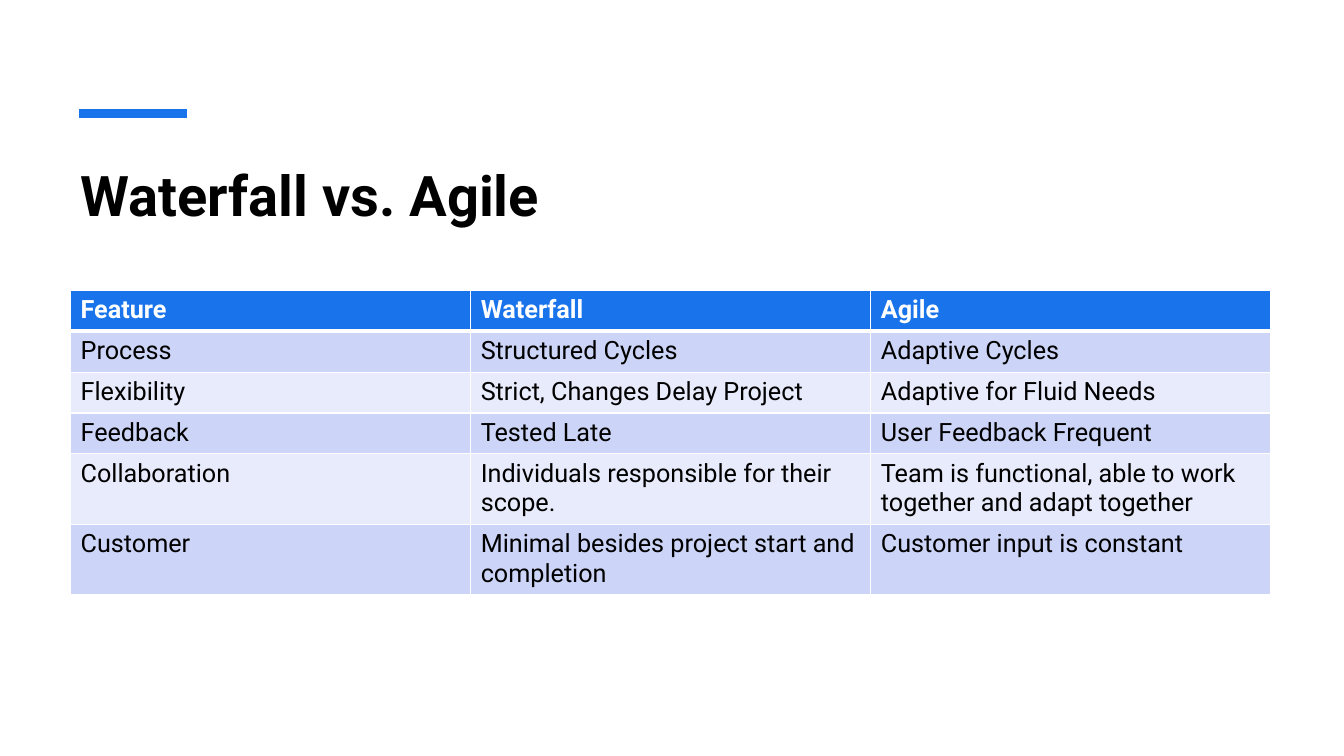
"""Build the Waterfall vs. Agile comparison slide."""
from typing import NamedTuple

from lxml import etree
from pptx import Presentation
from pptx.dml.color import RGBColor
from pptx.enum.shapes import MSO_CONNECTOR
from pptx.enum.text import MSO_ANCHOR
from pptx.oxml.ns import qn
from pptx.util import Pt

STRAIGHT = MSO_CONNECTOR.STRAIGHT
TOP = MSO_ANCHOR.TOP
FONT = "Roboto"
BLUE, WHITE, BLACK = "1973EB", "FFFFFF", "000000"
BANDS = ("CCD5F7", "E8EBFB")
LEFT, WIDTH = 50.4, 857.5
ROW_TOP, ROW_HIGH = 207.4, 29.2
THIN, THICK = 1, 3


class Row(NamedTuple):
    """Hold one row of the comparison."""
    feature: str
    waterfall: str
    agile: str


ROWS = (
    Row("Feature", "Waterfall", "Agile"),
    Row("Process", "Structured Cycles", "Adaptive Cycles"),
    Row("Flexibility", "Strict, Changes Delay Project", "Adaptive for Fluid Needs"),
    Row("Feedback", "Tested Late", "User Feedback Frequent"),
    Row("Collaboration", "Individuals responsible for their scope.",
        "Team is functional, able to work together and adapt together"),
    Row("Customer", "Minimal besides project start and completion",
        "Customer input is constant"),
)


def color(code: str) -> RGBColor:
    """Turn a hex string into a colour."""
    return RGBColor.from_string(code)


def write(frame, text: str, size: float, code: str, bold: bool) -> None:
    """Add one styled run to the first paragraph."""
    run = frame.paragraphs[0].add_run()
    run.text = text
    run.font.name = FONT
    run.font.size = Pt(size)
    run.font.bold = bold
    run.font.color.rgb = color(code)


def edge(cell, side: str, width: float) -> None:
    """Draw a white border on one side of a cell."""
    line = etree.Element(qn(f"a:ln{side}"), w=str(Pt(width)))
    fill = etree.SubElement(line, qn("a:solidFill"))
    etree.SubElement(fill, qn("a:srgbClr"), val=WHITE)
    props = cell._tc.get_or_add_tcPr()
    props.insert(len(props.findall("*")) - 1, line)


def draw_bar(slide) -> None:
    """Draw the accent bar above the title."""
    bar = slide.shapes.add_connector(STRAIGHT, Pt(56.4), Pt(81), Pt(133.4), Pt(81))
    bar.line.color.rgb = color(BLUE)
    bar.line.width = Pt(6)
    etree.SubElement(bar._element.spPr, qn("a:effectLst"))


def draw_title(slide) -> None:
    """Draw the slide title."""
    box = slide.shapes.add_textbox(Pt(LEFT), Pt(108), Pt(WIDTH), Pt(86.4))
    frame = box.text_frame
    frame.word_wrap = True
    frame.vertical_anchor = TOP
    frame.margin_top = Pt(7)
    write(frame, "Waterfall vs. Agile", 40, BLACK, True)


def draw_table(slide, rows: tuple[Row, ...]) -> None:
    """Draw the table with a header and banded rows."""
    count = len(Row._fields)
    table = slide.shapes.add_table(
        len(rows), count, Pt(LEFT), Pt(ROW_TOP), Pt(WIDTH), Pt(ROW_HIGH * len(rows))
    ).table
    for col in table.columns:
        col.width = Pt(WIDTH / count)
    for i, row in enumerate(rows):
        head = i == 0
        table.rows[i].height = Pt(ROW_HIGH)
        for j, text in enumerate(row):
            cell = table.cell(i, j)
            cell.fill.solid()
            cell.fill.fore_color.rgb = color(BLUE if head else BANDS[(i - 1) % 2])
            write(cell.text_frame, text, 18, WHITE if head else BLACK, head)
            edge(cell, "L", THIN)
            edge(cell, "R", THIN)
            edge(cell, "T", THICK if i == 1 else THIN)
            edge(cell, "B", THICK if head else THIN)


def main() -> None:
    """Build and save the deck."""
    deck = Presentation()
    deck.slide_width, deck.slide_height = Pt(960), Pt(540)
    slide = deck.slides.add_slide(deck.slide_layouts[6])
    draw_bar(slide)
    draw_title(slide)
    draw_table(slide, ROWS)
    deck.save("out.pptx")


if __name__ == "__main__":
    main()
